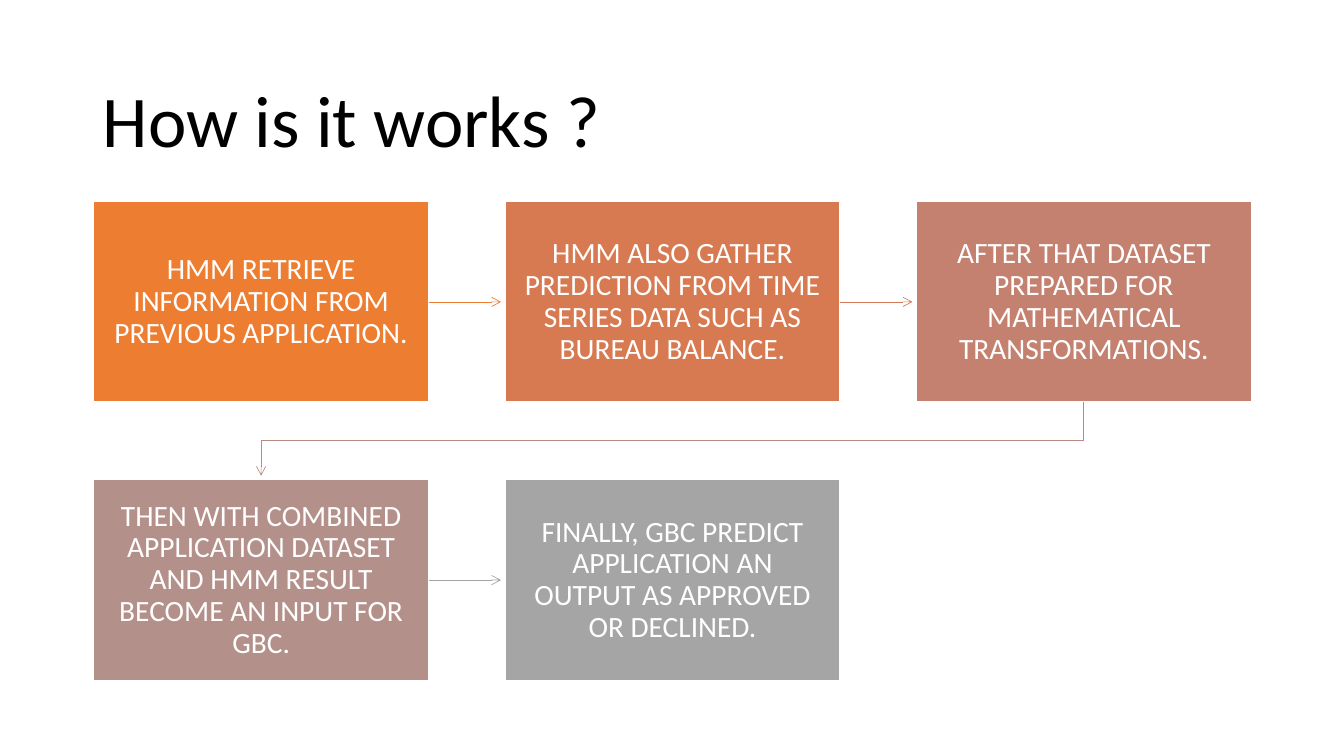
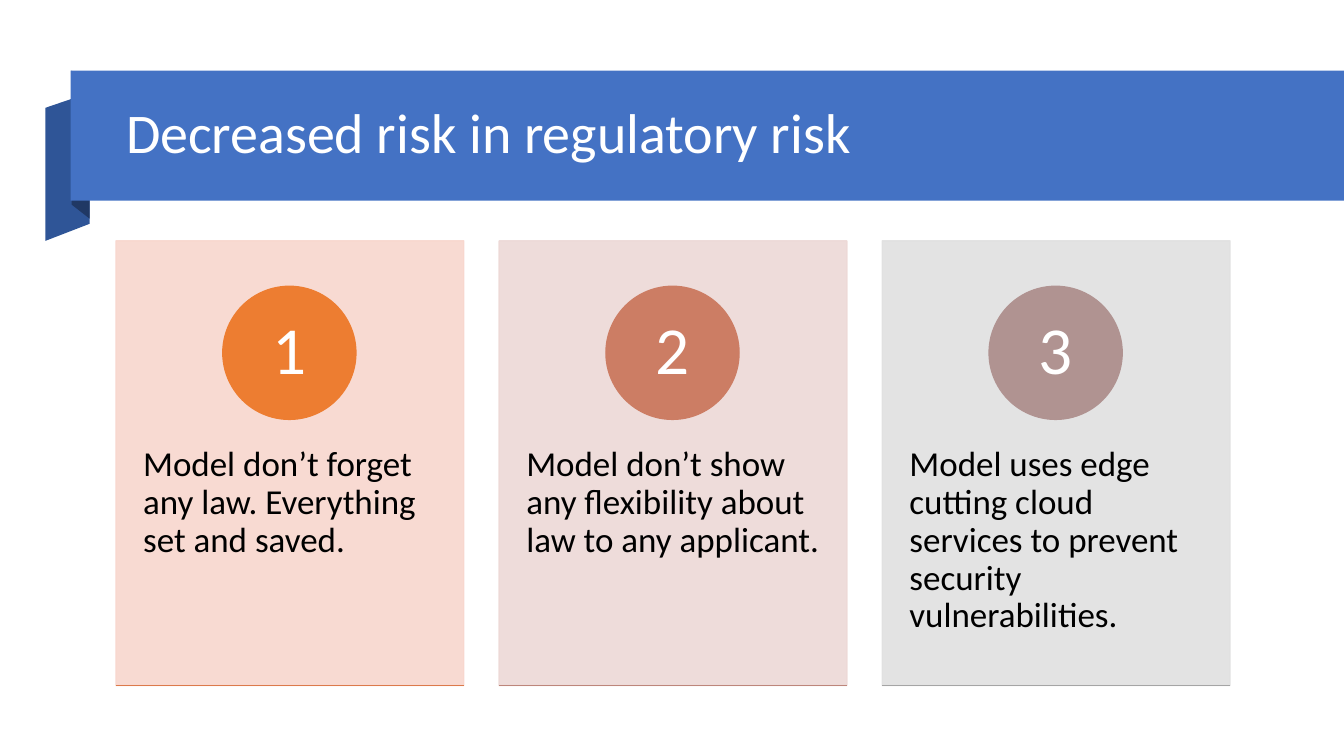
from dataclasses import dataclass

import lxml.etree
import pptx
import pptx.dml.color
import pptx.enum.shapes
import pptx.enum.text
import pptx.oxml.ns
import pptx.presentation
import pptx.shapes.autoshape
import pptx.shapes.connector
import pptx.slide
import pptx.util

EMU_PER_PX = 9144  # 100 px to the inch
SLIDE_W, SLIDE_H = 1333, 750
FONT = "Calibri"
COLORS = {
    "white": "FFFFFF",
    "black": "000000",
    "banner": "4472C4",
    "banner_fold": "2F5597",
    "banner_shade": "203864",
}
ALIGN = pptx.enum.text.PP_ALIGN
ANCHOR = pptx.enum.text.MSO_ANCHOR
PRESET = pptx.enum.shapes.MSO_SHAPE
STRAIGHT = pptx.enum.shapes.MSO_CONNECTOR.STRAIGHT

STEP_LEFT, STEP_TOP, STEP_W, STEP_H = 93, 200, 332, 199
STEP_PITCH_X, STEP_PITCH_Y = 408, 276
STEPS_PER_ROW = 3
ARROW_GAP = 4

CARD_LEFT, CARD_TOP, CARD_W, CARD_H, CARD_PITCH = 115, 239, 345, 441, 380
BADGE_TOP, BADGE_SIZE = 284, 132


@dataclass(frozen=True)
class Area:
    left: int
    top: int
    width: int
    height: int


@dataclass(frozen=True)
class Insets:
    left: int
    top: int
    right: int
    bottom: int


@dataclass(frozen=True)
class TextStyle:
    size: int
    color: str
    align: ALIGN = ALIGN.LEFT
    anchor: ANCHOR = ANCHOR.MIDDLE
    insets: Insets = Insets(10, 5, 10, 5)


@dataclass(frozen=True)
class Step:
    text: str
    fill: str
    arrow: str = ""


@dataclass(frozen=True)
class Card:
    text: str
    fill: str
    badge: str
    rule: str


STEP_STYLE = TextStyle(21, COLORS["white"], ALIGN.CENTER, insets=Insets(16, 17, 16, 17))
CARD_STYLE = TextStyle(25, COLORS["black"], anchor=ANCHOR.TOP, insets=Insets(27, 204, 27, 44))
BADGE_STYLE = TextStyle(48, COLORS["white"], ALIGN.CENTER, insets=Insets(0, 0, 0, 0))

STEPS = [
    Step("HMM RETRIEVE INFORMATION FROM PREVIOUS APPLICATION.", "ED7D31", "ED7D31"),
    Step("HMM ALSO GATHER PREDICTION FROM TIME SERIES DATA SUCH AS BUREAU BALANCE.",
         "D87A51", "D17B5C"),
    Step("AFTER THAT DATASET PREPARED FOR MATHEMATICAL TRANSFORMATIONS.",
         "C48170", "B98A82"),
    Step("THEN WITH COMBINED APPLICATION DATASET AND HMM RESULT BECOME AN INPUT FOR GBC.",
         "B4908B", "A5A5A5"),
    Step("FINALLY, GBC PREDICT APPLICATION AN OUTPUT AS APPROVED OR DECLINED.", "A5A5A5"),
]
CARDS = [
    Card("Model don’t forget any law. Everything set and saved.",
         "F8D7CE", "ED7D31", "DC7A4B"),
    Card("Model don’t show any flexibility about law to any applicant.",
         "EDD9D7", "CC7D64", "BD867B"),
    Card("Model uses edge cutting cloud services to prevent security vulnerabilities.",
         "E1E1E1", "B09391", "A5A5A5"),
]


def px(length: int) -> pptx.util.Emu:
    return pptx.util.Emu(length * EMU_PER_PX)


def rgb(color: str) -> pptx.dml.color.RGBColor:
    return pptx.dml.color.RGBColor.from_string(color)


def write_text(shape: pptx.shapes.autoshape.Shape, text: str, style: TextStyle) -> None:
    frame = shape.text_frame
    frame.text = text
    frame.word_wrap = True
    frame.auto_size = pptx.enum.text.MSO_AUTO_SIZE.NONE
    frame.vertical_anchor = style.anchor
    frame.margin_left, frame.margin_top = px(style.insets.left), px(style.insets.top)
    frame.margin_right, frame.margin_bottom = px(style.insets.right), px(style.insets.bottom)
    paragraph = frame.paragraphs[0]
    paragraph.alignment = style.align
    paragraph.line_spacing = 0.9
    font = paragraph.runs[0].font
    font.name = FONT
    font.size = pptx.util.Pt(style.size)
    font.color.rgb = rgb(style.color)


def add_titled_slide(deck: pptx.presentation.Presentation, title: str,
                     area: Area, style: TextStyle) -> pptx.slide.Slide:
    slide = deck.slides.add_slide(deck.slide_layouts[5])
    heading = slide.shapes.title
    heading.left, heading.top = px(area.left), px(area.top)
    heading.width, heading.height = px(area.width), px(area.height)
    write_text(heading, title, style)
    return slide


def add_filled_shape(slide: pptx.slide.Slide, preset: PRESET, area: Area,
                     fill: str, outline: str = "") -> pptx.shapes.autoshape.Shape:
    shape = slide.shapes.add_shape(
        preset, px(area.left), px(area.top), px(area.width), px(area.height))
    shape.shadow.inherit = False
    shape.fill.solid()
    shape.fill.fore_color.rgb = rgb(fill)
    if outline:
        shape.line.color.rgb = rgb(outline)
        shape.line.width = pptx.util.Pt(1)
    else:
        shape.line.fill.background()
    return shape


def add_outline(slide: pptx.slide.Slide, points: list[tuple[int, int]],
                close: bool) -> pptx.shapes.autoshape.Shape:
    builder = slide.shapes.build_freeform(*points[0], scale=EMU_PER_PX)
    builder.add_line_segments(points[1:], close=close)
    shape = builder.convert_to_shape()
    shape.shadow.inherit = False
    return shape


def add_fold(slide: pptx.slide.Slide, points: list[tuple[int, int]], fill: str) -> None:
    fold = add_outline(slide, points, close=True)
    fold.fill.solid()
    fold.fill.fore_color.rgb = rgb(fill)
    fold.line.fill.background()


def add_line(slide: pptx.slide.Slide, start: tuple[int, int], end: tuple[int, int],
             color: str, width: float) -> pptx.shapes.connector.Connector:
    """Draw a straight connector between two points given in EMU."""
    line = slide.shapes.add_connector(STRAIGHT, *start, *end)
    line.line.color.rgb = rgb(color)
    line.line.width = pptx.util.Pt(width)
    properties = line.element.find(pptx.oxml.ns.qn("p:spPr"))
    lxml.etree.SubElement(properties, pptx.oxml.ns.qn("a:effectLst"))
    return line


def add_arrowhead(
        arrow: pptx.shapes.autoshape.Shape | pptx.shapes.connector.Connector) -> None:
    outline = next(arrow.element.iter(pptx.oxml.ns.qn("a:ln")))
    head = lxml.etree.SubElement(outline, pptx.oxml.ns.qn("a:tailEnd"))
    head.set("type", "arrow")


def set_opacity(shape: pptx.shapes.autoshape.Shape, percent: int) -> None:
    """Apply one opacity to both the fill and the outline."""
    for color in shape.element.spPr.iter(pptx.oxml.ns.qn("a:srgbClr")):
        alpha = lxml.etree.SubElement(color, pptx.oxml.ns.qn("a:alpha"))
        alpha.set("val", str(percent * 1000))


def add_row_arrow(slide: pptx.slide.Slide, source: pptx.shapes.autoshape.Shape,
                  target: pptx.shapes.autoshape.Shape, color: str) -> None:
    middle = source.top + source.height // 2
    arrow = add_line(slide, (source.left + source.width, middle),
                     (target.left - px(ARROW_GAP), middle), color, 0.5)
    arrow.begin_connect(source, 3)
    add_arrowhead(arrow)


def add_wrap_arrow(slide: pptx.slide.Slide, color: str) -> None:
    """Lead from the last step of the first row to the first step of the second."""
    first_x = STEP_LEFT + STEP_W // 2
    last_x = first_x + (STEPS_PER_ROW - 1) * STEP_PITCH_X
    row_bottom, next_top = STEP_TOP + STEP_H, STEP_TOP + STEP_PITCH_Y
    turn = (row_bottom + next_top) // 2
    arrow = add_outline(
        slide,
        [(last_x, row_bottom), (last_x, turn), (first_x, turn),
         (first_x, next_top - ARROW_GAP)],
        close=False)
    arrow.fill.background()
    arrow.line.color.rgb = rgb(color)
    arrow.line.width = pptx.util.Pt(0.5)
    add_arrowhead(arrow)


def build_process_slide(deck: pptx.presentation.Presentation) -> None:
    slide = add_titled_slide(deck, "How is it works ?", Area(92, 61, 1150, 124),
                             TextStyle(52, COLORS["black"]))
    boxes = []
    for index, step in enumerate(STEPS):
        row, column = divmod(index, STEPS_PER_ROW)
        area = Area(STEP_LEFT + column * STEP_PITCH_X, STEP_TOP + row * STEP_PITCH_Y,
                    STEP_W, STEP_H)
        box = add_filled_shape(slide, PRESET.RECTANGLE, area, step.fill, COLORS["white"])
        write_text(box, step.text, STEP_STYLE)
        boxes.append(box)
    for index, step in enumerate(STEPS[:-1]):
        if (index + 1) % STEPS_PER_ROW:
            add_row_arrow(slide, boxes[index], boxes[index + 1], step.arrow)
        else:
            add_wrap_arrow(slide, step.arrow)


def add_card(slide: pptx.slide.Slide, card: Card, number: int) -> None:
    left = CARD_LEFT + (number - 1) * CARD_PITCH
    panel = add_filled_shape(slide, PRESET.RECTANGLE, Area(left, CARD_TOP, CARD_W, CARD_H),
                             card.fill, card.fill)
    set_opacity(panel, 90)
    write_text(panel, card.text, CARD_STYLE)
    badge_left = left + (CARD_W - BADGE_SIZE) // 2
    badge = add_filled_shape(slide, PRESET.OVAL,
                             Area(badge_left, BADGE_TOP, BADGE_SIZE, BADGE_SIZE),
                             card.badge, card.badge)
    write_text(badge, str(number), BADGE_STYLE)
    bottom = px(CARD_TOP + CARD_H)
    add_line(slide, (px(left), bottom), (px(left + CARD_W), bottom), card.rule, 1)


def build_risk_slide(deck: pptx.presentation.Presentation) -> None:
    slide = add_titled_slide(deck, "Decreased risk in regulatory risk",
                             Area(115, 86, 1127, 96), TextStyle(40, COLORS["white"]))
    add_fold(slide, [(89, 222), (45, 239), (45, 107), (89, 92)], COLORS["banner_fold"])
    add_fold(slide, [(89, 217), (71, 203), (71, 70), (89, 85)], COLORS["banner_shade"])
    add_filled_shape(slide, PRESET.RECTANGLE, Area(70, 70, SLIDE_W - 70, 129),
                     COLORS["banner"])
    slide.shapes.element.append(slide.shapes.title.element)  # title above the banner
    for number, card in enumerate(CARDS, start=1):
        add_card(slide, card, number)


def main() -> None:
    deck = pptx.Presentation()
    deck.slide_width, deck.slide_height = px(SLIDE_W), px(SLIDE_H)
    build_process_slide(deck)
    build_risk_slide(deck)
    deck.save("out.pptx")


if __name__ == "__main__":
    main()
